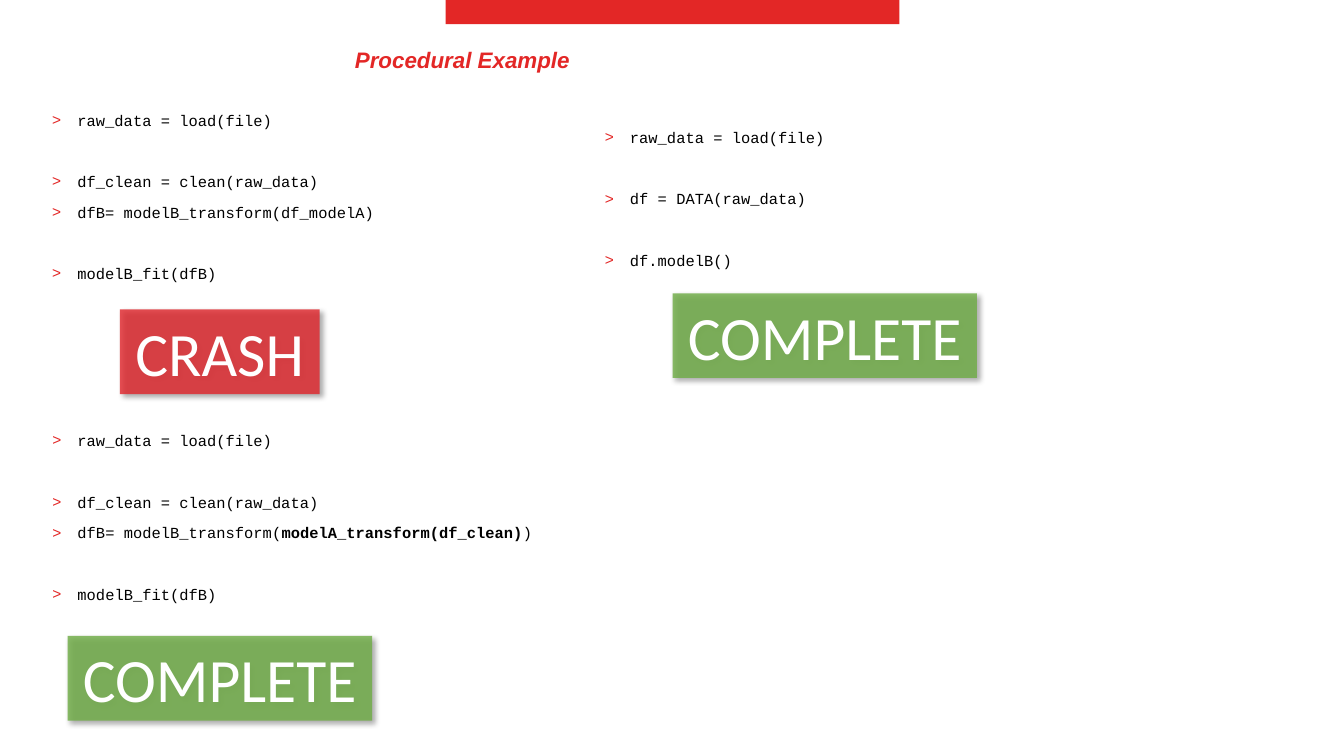
from lxml.etree import SubElement
from pptx import Presentation
from pptx.dml.color import RGBColor
from pptx.enum.shapes import MSO_SHAPE
from pptx.enum.text import MSO_ANCHOR, MSO_AUTO_SIZE, PP_ALIGN
from pptx.oxml.ns import qn
from pptx.util import Inches, Pt

COLORS = {
    "accent": "E32726",
    "crash": "E0282E",
    "complete": "70AD47",
    "code": "000000",
    "white": "FFFFFF",
    "shadow": "000000",
}
TITLE = "Procedural Example"
BAR = (4.42, 0, 4.5, 0.24)
LINE_GAP = 10
GROUP_GAP = 32

LISTINGS = [
    {
        "place": (0.42, 1.07, 4.9, 2),
        "groups": [
            [["raw_data = load(file)"]],
            [["df_clean = clean(raw_data)"], ["dfB= modelB_transform(df_modelA)"]],
            [["modelB_fit(dfB)"]],
        ],
    },
    {
        "place": (5.9, 1.24, 4.9, 1.67),
        "groups": [
            [["raw_data = load(file)"]],
            [["df = DATA(raw_data)"]],
            [["df.modelB()"]],
        ],
    },
    {
        "place": (0.42, 4.25, 5.79, 2),
        "groups": [
            [["raw_data = load(file)"]],
            [
                ["df_clean = clean(raw_data)"],
                ["dfB= modelB_transform(", "modelA_transform(df_clean)", ")"],
            ],
            [["modelB_fit(dfB)"]],
        ],
    },
]
RESULTS = [
    ("CRASH", "crash", (1.19, 3.07, 1.98, 0.84)),
    ("COMPLETE", "complete", (6.67, 2.91, 3.02, 0.84)),
    ("COMPLETE", "complete", (0.67, 6.31, 3.02, 0.84)),
]


def write(para, text, *, size, font, color, bold=False, italic=False):
    span = para.add_run()
    span.text = text
    span.font.size = Pt(size)
    span.font.name = font
    span.font.bold = bold
    span.font.italic = italic
    span.font.color.rgb = RGBColor.from_string(COLORS[color])


def add_bullet(para):
    properties = para._p.get_or_add_pPr()
    properties.set("marL", str(Inches(0.25)))
    properties.set("indent", str(Inches(-0.25)))
    color = SubElement(properties, qn("a:buClr"))
    SubElement(color, qn("a:srgbClr"), val=COLORS["accent"])
    SubElement(properties, qn("a:buFont"), typeface="Arial")
    SubElement(properties, qn("a:buChar"), char=">")


def add_rectangle(page, place, color):
    box = page.shapes.add_shape(MSO_SHAPE.RECTANGLE, *map(Inches, place))
    box.fill.solid()
    box.fill.fore_color.rgb = RGBColor.from_string(COLORS[color])
    box.line.fill.background()
    box.shadow.inherit = False
    return box


def add_title(page):
    title = page.shapes.title
    title.left, title.top, title.width, title.height = map(
        Inches, (3.42, 0.24, 6.51, 0.73)
    )
    frame = title.text_frame
    frame.auto_size = MSO_AUTO_SIZE.NONE
    frame.vertical_anchor = MSO_ANCHOR.MIDDLE
    para = frame.paragraphs[0]
    para.alignment = PP_ALIGN.LEFT
    para.line_spacing = 0.9
    write(para, TITLE, size=16, font="Arial", color="accent", bold=True, italic=True)


def add_listing(page, place, groups):
    frame = page.shapes.add_textbox(*map(Inches, place)).text_frame
    frame.word_wrap = True
    for group_index, group in enumerate(groups):
        for line_index, line in enumerate(group):
            first = group_index == line_index == 0
            para = frame.paragraphs[0] if first else frame.add_paragraph()
            add_bullet(para)
            para.line_spacing = 0.9
            if not first:
                para.space_before = Pt(LINE_GAP if line_index else GROUP_GAP)
            for part_index, part in enumerate(line):
                write(para, part, size=11, font="Courier New", color="code",
                      bold=part_index == 1)


def add_result(page, text, color, place):
    box = add_rectangle(page, place, color)
    properties = box._element.spPr
    fill_color = properties.find(qn("a:solidFill")).find(qn("a:srgbClr"))
    SubElement(fill_color, qn("a:alpha"), val="82000")
    shadow = SubElement(
        properties.find(qn("a:effectLst")), qn("a:outerShdw"),
        blurRad=str(Pt(4)), dist=str(Pt(3)), dir=str(45 * 60000),
        algn="tl", rotWithShape="0",
    )
    shadow_color = SubElement(shadow, qn("a:srgbClr"), val=COLORS["shadow"])
    SubElement(shadow_color, qn("a:alpha"), val="40000")
    frame = box.text_frame
    frame.word_wrap = False
    frame.vertical_anchor = MSO_ANCHOR.MIDDLE
    para = frame.paragraphs[0]
    para.alignment = PP_ALIGN.CENTER
    write(para, text, size=44, font="Calibri", color="white")


def main():
    deck = Presentation()
    deck.slide_width, deck.slide_height = Inches(13.33), Inches(7.5)
    page = deck.slides.add_slide(deck.slide_layouts[5])
    add_rectangle(page, BAR, "accent")
    add_title(page)
    for listing in LISTINGS:
        add_listing(page, **listing)
    for result in RESULTS:
        add_result(page, *result)
    deck.save("out.pptx")


if __name__ == "__main__":
    main()
